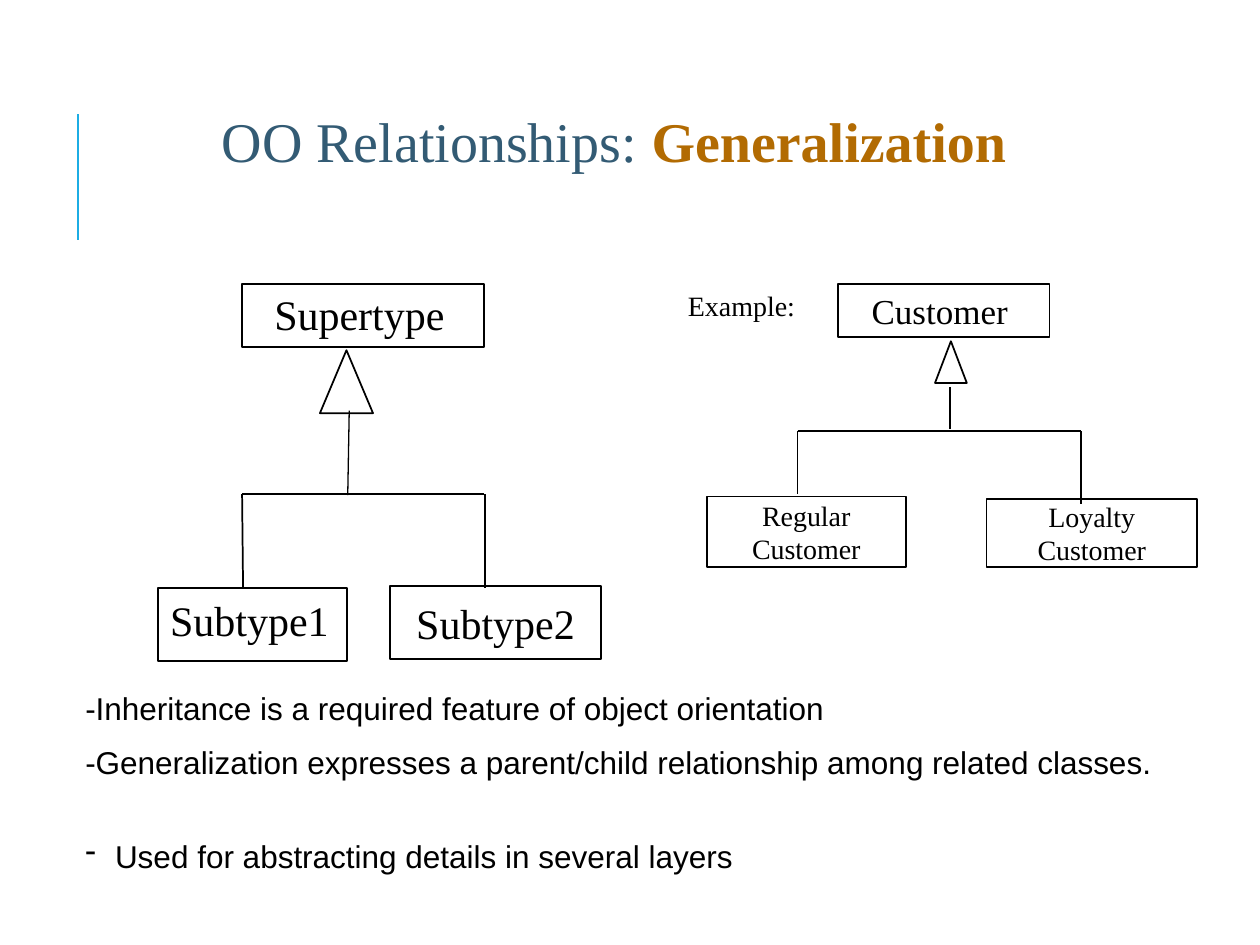
from lxml import etree
from pptx import Presentation
from pptx.dml.color import RGBColor
from pptx.enum import shapes, text
from pptx.oxml import ns
from pptx.util import Cm, Pt

SERIF, SANS = "Times New Roman", "Arial"
BLACK, ACCENT, TITLE_BLUE, TITLE_BROWN = "000000", "1CADE4", "335B74", "B26B02"

title_parts = [("OO Relationships: ", TITLE_BLUE, False),
               ("Generalization", TITLE_BROWN, True)]

# left, top, width, height in cm
class_boxes = [
    ((4.88, 5.72, 4.88, 1.27), [], 24),
    ((3.18, 11.86, 3.81, 1.47), [], 24),
    ((7.87, 11.81, 4.24, 1.47), ["Subtype2"], 24),
    ((16.89, 5.72, 4.27, 1.07), [], 20),
    ((14.25, 10.01, 4.01, 1.42), ["Regular", "Customer"], 16),
    ((19.89, 10.06, 4.24, 1.37), ["Loyalty", "Customer"], 16),
]
arrowheads = [(6.45, 7.06, 1.07, 1.27), (18.85, 6.88, 0.64, 0.84)]
labels = [
    ((5.28, 5.69, 4.88, 1.27), "Supertype", 24),
    ((3.18, 11.86, 3.81, 1.27), "Subtype1", 24),
    ((17.32, 5.72, 4.88, 1.09), "Customer", 20),
    ((13.62, 5.69, 2.9, 0.94), "Example:", 16),
]
# start x, start y, end x, end y in cm; width in points; colour
connectors = [
    (1.57, 4.83, 1.57, 2.29, 1.5, ACCENT),
    (4.88, 9.96, 9.75, 9.96, 1, BLACK),
    (4.88, 9.96, 4.9, 11.86, 1, BLACK),
    (9.78, 9.96, 9.78, 11.86, 1, BLACK),
    (7.01, 9.98, 7.04, 8.28, 0.75, BLACK),
    (19.15, 7.8, 19.15, 8.64, 1, BLACK),
    (16.08, 8.69, 21.79, 8.69, 1, BLACK),
    (16.08, 8.69, 16.08, 9.96, 0.75, BLACK),
    (21.79, 8.69, 21.79, 10.16, 0.75, BLACK),
]
# wording, space before in points, bullet
notes = [
    ("-Inheritance is a required feature of object orientation", 0, None),
    ("-Generalization expresses a parent/child relationship among related classes.", 9, None),
    ("Used for abstracting details in several layers", 32, "-"),
]


def rgb(value):
    return RGBColor.from_string(value)


def set_font(font, size, name=SERIF, color=BLACK, bold=False):
    font.name, font.size, font.bold = name, Pt(size), bold
    font.color.rgb = rgb(color)


def add_outline(kind, place):
    shape = slide.shapes.add_shape(kind, *map(Cm, place))
    shape.shadow.inherit = False
    shape.fill.background()
    shape.line.color.rgb = rgb(BLACK)
    shape.line.width = Pt(1)
    return shape


def add_text_frame(place):
    frame = slide.shapes.add_textbox(*map(Cm, place)).text_frame
    frame.word_wrap = True
    return frame


def add_hanging_bullet(paragraph, mark, indent):
    properties = paragraph._p.get_or_add_pPr()
    properties.set("marL", str(indent))
    properties.set("indent", str(-indent))
    etree.SubElement(properties, ns.qn("a:buChar")).set("char", mark)


prs = Presentation()
prs.slide_width, prs.slide_height = Cm(25.4), Cm(19.05)
slide = prs.slides.add_slide(prs.slide_layouts[6])

for place, lines, size in class_boxes:
    frame = add_outline(shapes.MSO_SHAPE.RECTANGLE, place).text_frame
    if lines:
        frame.word_wrap = False
        frame.vertical_anchor = text.MSO_ANCHOR.MIDDLE
        frame.text = "\n".join(lines)
        for paragraph in frame.paragraphs:
            paragraph.alignment = text.PP_ALIGN.CENTER
            set_font(paragraph.font, size)

for place in arrowheads:
    add_outline(shapes.MSO_SHAPE.ISOSCELES_TRIANGLE, place)

for *ends, width, color in connectors:
    connector = slide.shapes.add_connector(shapes.MSO_CONNECTOR.STRAIGHT, *map(Cm, ends))
    connector.line.color.rgb = rgb(color)
    connector.line.width = Pt(width)
    etree.SubElement(connector._element.spPr, ns.qn("a:effectLst"))

for place, label, size in labels:
    paragraph = add_text_frame(place).paragraphs[0]
    paragraph.text = label
    set_font(paragraph.font, size)

title = add_text_frame((4.22, 2.03, 17.3, 1.6)).paragraphs[0]
for wording, color, bold in title_parts:
    run = title.add_run()
    run.text = wording
    set_font(run.font, 32, color=color, bold=bold)

notes_frame = add_text_frame((1.47, 13.77, 22.2, 3.3))
notes_frame.text = "\n".join(wording for wording, _, _ in notes)
for paragraph, (_, space, bullet) in zip(notes_frame.paragraphs, notes):
    paragraph.space_before = Pt(space)
    if bullet:
        add_hanging_bullet(paragraph, bullet, Cm(0.6))
    set_font(paragraph.font, 18, SANS)

prs.save("out.pptx")
